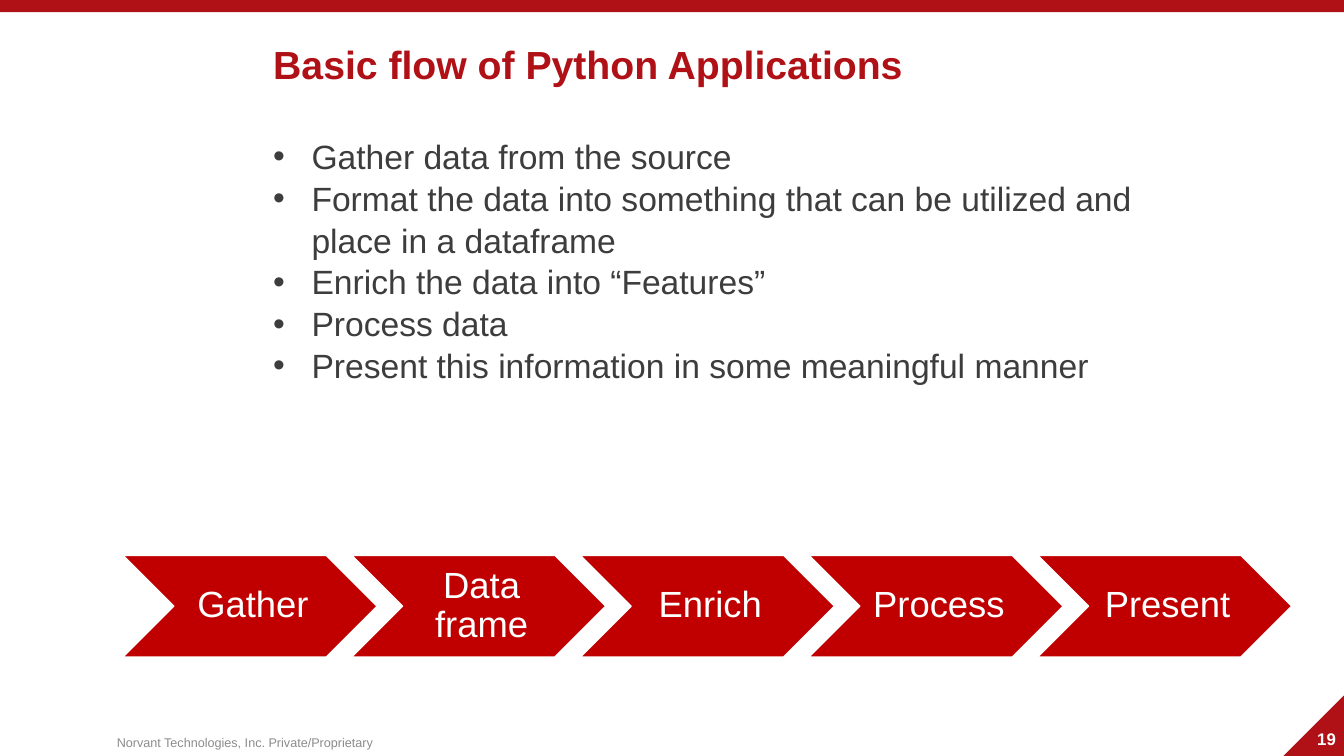
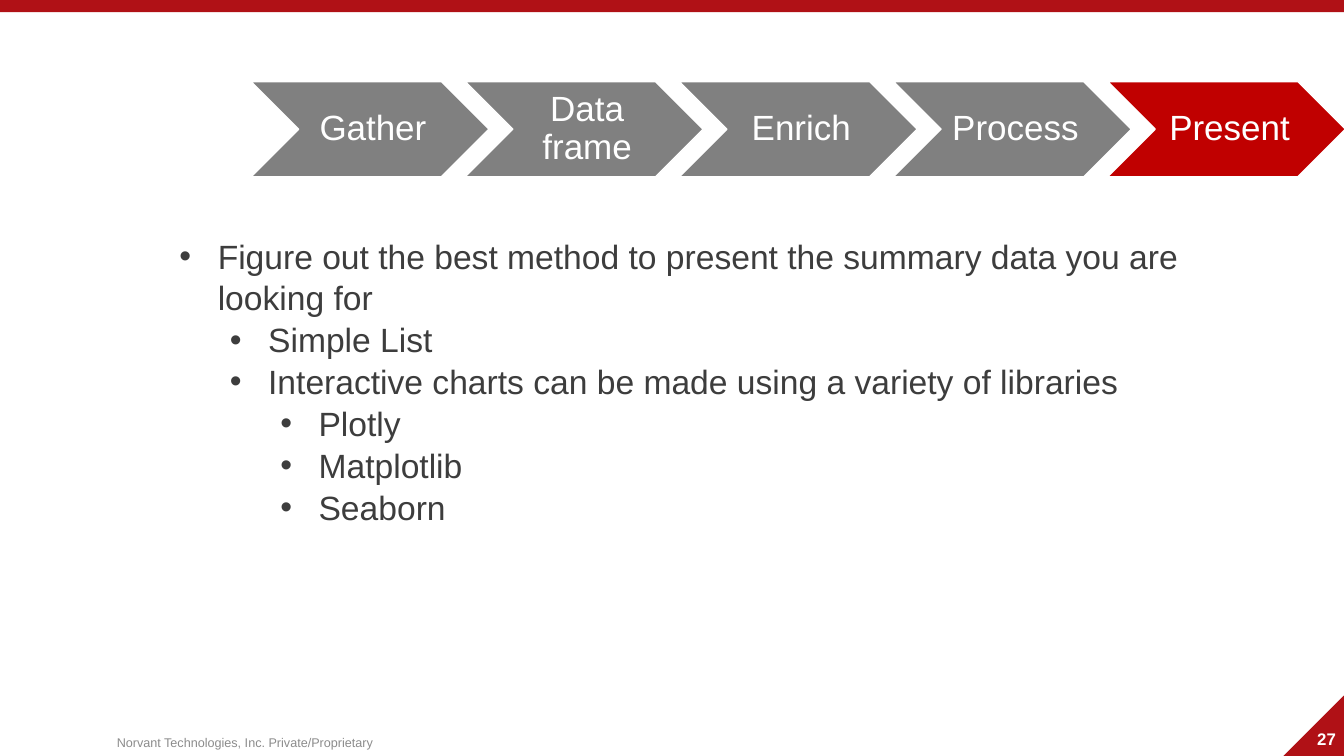
from dataclasses import dataclass

from lxml.etree import SubElement
from pptx import Presentation
from pptx.dml.color import RGBColor
from pptx.enum.shapes import MSO_SHAPE
from pptx.enum.text import MSO_ANCHOR, MSO_AUTO_SIZE, PP_ALIGN
from pptx.oxml.ns import qn
from pptx.util import Inches, Pt


@dataclass(frozen=True)
class Theme:
    font: str = "Arial"
    brand: str = "B01116"
    live: str = "C00000"
    idle: str = "808080"
    ink: str = "3D3D3D"
    note: str = "8C8C8C"
    white: str = "FFFFFF"
    title: int = 28
    body: int = 24
    page: int = 12
    foot: int = 9


theme = Theme()


def write(shape, lines, size, color, bold=False, align=PP_ALIGN.LEFT, anchor=MSO_ANCHOR.MIDDLE):
    frame = shape.text_frame
    frame.text = "\n".join(lines)
    frame.word_wrap = True
    frame.auto_size = MSO_AUTO_SIZE.NONE
    frame.vertical_anchor = anchor
    for para in frame.paragraphs:
        para.alignment = align
        para.space_before = Pt(0)
        for run in para.runs:
            run.font.name = theme.font
            run.font.size = Pt(size)
            run.font.bold = bold
            run.font.color.rgb = RGBColor.from_string(color)
    return frame


def draw(slide, kind, box, fill):
    shape = slide.shapes.add_shape(kind, *map(Inches, box))
    shape.shadow.inherit = False
    shape.fill.solid()
    shape.fill.fore_color.rgb = RGBColor.from_string(fill)
    shape.line.fill.background()
    return shape


steps = ["Gather", "Data frame", "Enrich", "Process", "Present"]
pages = [
    {
        "page": "19",
        "title": "Basic flow of Python Applications",
        "body": (2.61, 1.28, 9.21, 2.52),
        "list": [
            (0, "Gather data from the source"),
            (0, "Format the data into something that can be utilized and place in a dataframe"),
            (0, "Enrich the data into “Features”"),
            (0, "Process data"),
            (0, "Present this information in some meaningful manner"),
        ],
        "flow": (1.22, 5.51, 2.52),
        "size": 26,
        "live": steps,
    },
    {
        "page": "27",
        "title": None,
        "body": (1.68, 2.27, 10.42, 2.93),
        "list": [
            (0, "Figure out the best method to present the summary data you are looking for"),
            (1, "Simple List"),
            (1, "Interactive charts can be made using a variety of libraries"),
            (2, "Plotly"),
            (2, "Matplotlib"),
            (2, "Seaborn"),
        ],
        "flow": (2.49, 0.81, 2.36),
        "size": 25,
        "live": ["Present"],
    },
]

deck = Presentation()
deck.slide_width, deck.slide_height = Inches(13.33), Inches(7.5)

for page in pages:
    slide = deck.slides.add_slide(deck.slide_layouts[1])

    draw(slide, MSO_SHAPE.RECTANGLE, (0, 0, 13.33, 0.12), theme.brand)
    corner = draw(slide, MSO_SHAPE.RIGHT_TRIANGLE, (12.73, 6.9, 0.6, 0.6), theme.brand)
    corner.rotation = 270
    foot = slide.shapes.add_textbox(Inches(1.06), Inches(7.24), Inches(6.89), Inches(0.26))
    write(foot, ["Norvant Technologies, Inc. Private/Proprietary"], theme.foot, theme.note)
    num = slide.shapes.add_textbox(Inches(12.33), Inches(7.16), Inches(1), Inches(0.34))
    frame = write(num, [page["page"]], theme.page, theme.white, True, PP_ALIGN.RIGHT)
    frame.margin_right = Inches(0.08)

    title = slide.shapes.title
    if page["title"]:
        title.left, title.top, title.width, title.height = map(Inches, (2.61, 0.35, 10.2, 0.57))
        write(title, [page["title"]], theme.title, theme.brand, True, anchor=MSO_ANCHOR.TOP)
    else:
        title.element.getparent().remove(title.element)

    body = slide.placeholders[1]
    body.left, body.top, body.width, body.height = map(Inches, page["body"])
    frame = write(body, [text for _, text in page["list"]], theme.body, theme.ink, anchor=MSO_ANCHOR.TOP)
    for para, (level, _) in zip(frame.paragraphs, page["list"]):
        para.level = level
        para.line_spacing = 1.04
        props = para._p.get_or_add_pPr()
        props.set("marL", str(Inches(0.38 + 0.5 * level)))
        props.set("indent", str(Inches(-0.38)))
        SubElement(props, qn("a:buFont")).set("typeface", theme.font)
        SubElement(props, qn("a:buChar")).set("char", "•")

    left, top, width = page["flow"]
    for i, step in enumerate(steps):
        fill = theme.live if step in page["live"] else theme.idle
        box = (left + i * 0.9 * width, top, width, 0.4 * width)
        arrow = draw(slide, MSO_SHAPE.CHEVRON, box, fill)
        arrow.line.color.rgb = RGBColor.from_string(theme.white)
        arrow.line.width = Pt(1)
        frame = write(arrow, [step], page["size"], theme.white, align=PP_ALIGN.CENTER)
        frame.paragraphs[0].line_spacing = 0.9
        frame.margin_left = Inches(0.1)
        frame.margin_right = frame.margin_top = frame.margin_bottom = Inches(0.04)

deck.save("out.pptx")
